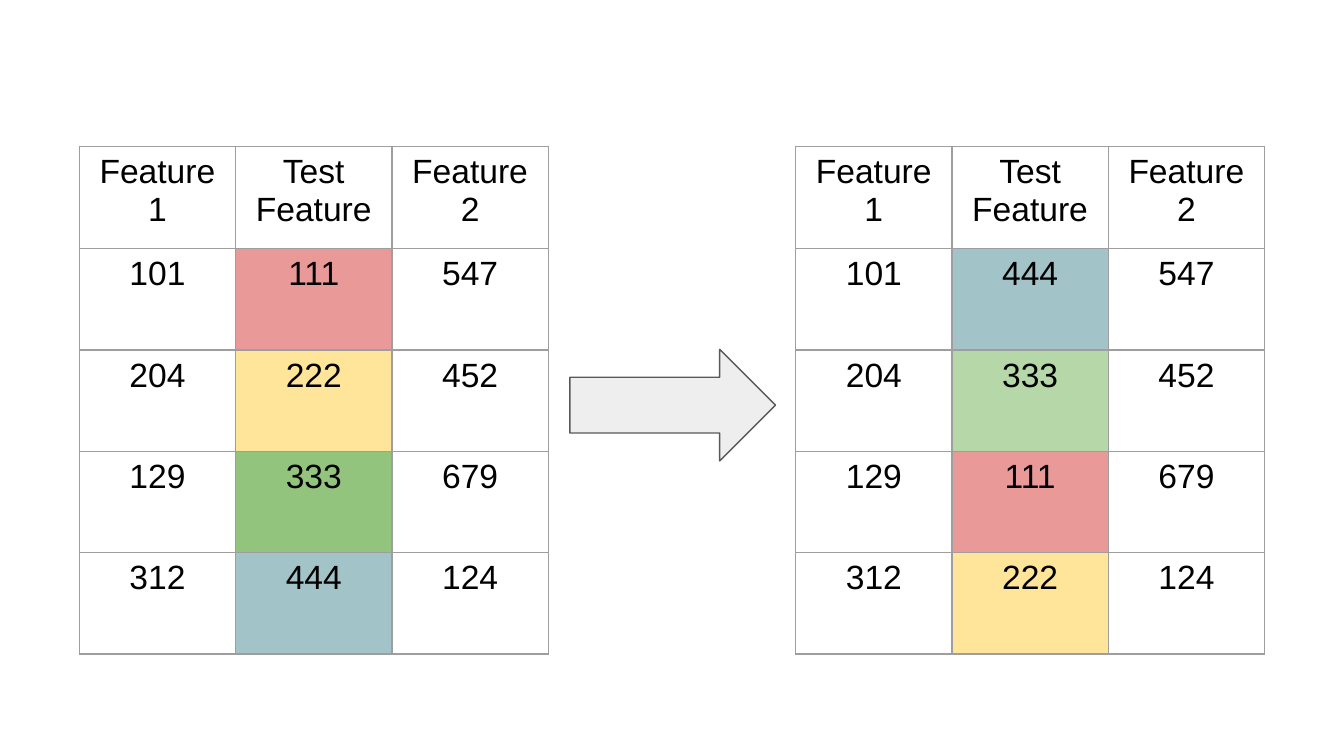
"""Build a slide showing a test feature column before and after shuffling."""
from lxml import etree
from pptx import Presentation
from pptx.dml.color import RGBColor
from pptx.enum.shapes import MSO_SHAPE
from pptx.enum.text import PP_ALIGN
from pptx.oxml.ns import qn
from pptx.util import Inches, Pt

RIGHT_ARROW = MSO_SHAPE.RIGHT_ARROW
CENTER = PP_ALIGN.CENTER

BLACK = RGBColor(0x00, 0x00, 0x00)
BORDER_GRAY = RGBColor(0x9E, 0x9E, 0x9E)
ARROW_FILL = RGBColor(0xEE, 0xEE, 0xEE)
ARROW_LINE = RGBColor(0x59, 0x59, 0x59)
RED = RGBColor(0xEA, 0x99, 0x99)
YELLOW = RGBColor(0xFF, 0xE5, 0x99)
GREEN = RGBColor(0x93, 0xC4, 0x7D)
LIGHT_GREEN = RGBColor(0xB6, 0xD7, 0xA8)
BLUE = RGBColor(0xA2, 0xC4, 0xC9)

HEADERS = ("Feature 1", "Test Feature", "Feature 2")
FEATURE_1 = ("101", "204", "129", "312")
FEATURE_2 = ("547", "452", "679", "124")
ORDERED = (("111", RED), ("222", YELLOW), ("333", GREEN), ("444", BLUE))
SHUFFLED = (("444", BLUE), ("333", LIGHT_GREEN), ("111", RED), ("222", YELLOW))
TEST_COLUMN = 1


def write_text(cell, text, size=18, font="Arial", color=BLACK, align=CENTER):
    paragraph = cell.text_frame.paragraphs[0]
    paragraph.alignment = align
    run = paragraph.add_run()
    run.text = text
    run.font.size = Pt(size)
    run.font.name = font
    run.font.bold = False
    run.font.color.rgb = color


def add_borders(cell, color=BORDER_GRAY, width=0.75):
    properties = cell._tc.get_or_add_tcPr()
    for side in ("a:lnL", "a:lnR", "a:lnT", "a:lnB"):
        border = etree.SubElement(properties, qn(side), w=str(Pt(width)))
        fill = etree.SubElement(border, qn("a:solidFill"))
        etree.SubElement(fill, qn("a:srgbClr"), val=str(color))


presentation = Presentation()
presentation.slide_width = Inches(10)
presentation.slide_height = Inches(10) * 9 // 16
slide = presentation.slides.add_slide(presentation.slide_layouts[6])

for left, test_feature in ((0.59, ORDERED), (5.92, SHUFFLED)):
    test_values, test_colors = zip(*test_feature)
    rows = [HEADERS, *zip(FEATURE_1, test_values, FEATURE_2)]
    row_colors = [None, *test_colors]
    features = slide.shapes.add_table(
        len(rows), len(HEADERS),
        Inches(left), Inches(1.09), Inches(3.49), Inches(3.77)).table
    features.first_row = False
    features.horz_banding = False
    features.rows[0].height = Inches(0.76)
    for row_index, (values, test_color) in enumerate(zip(rows, row_colors)):
        for column_index, value in enumerate(values):
            cell = features.cell(row_index, column_index)
            write_text(cell, value)
            add_borders(cell)
            if column_index == TEST_COLUMN and test_color is not None:
                cell.fill.solid()
                cell.fill.fore_color.rgb = test_color
            else:
                cell.fill.background()

shuffle_arrow = slide.shapes.add_shape(
    RIGHT_ARROW, Inches(4.24), Inches(2.6), Inches(1.53), Inches(0.83))
shuffle_arrow.shadow.inherit = False
shuffle_arrow.fill.solid()
shuffle_arrow.fill.fore_color.rgb = ARROW_FILL
shuffle_arrow.line.color.rgb = ARROW_LINE
shuffle_arrow.line.width = Pt(0.75)

presentation.save("out.pptx")
